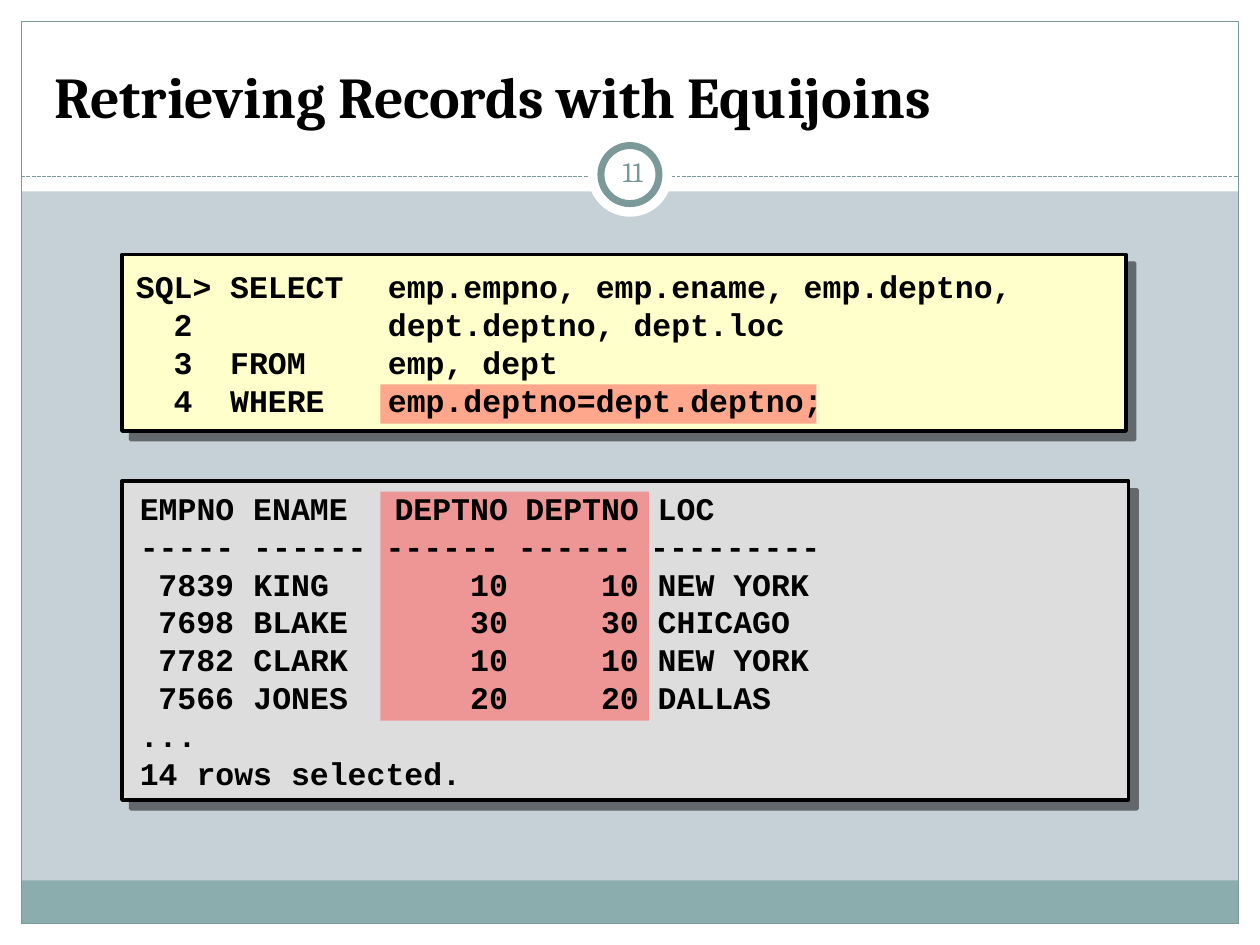
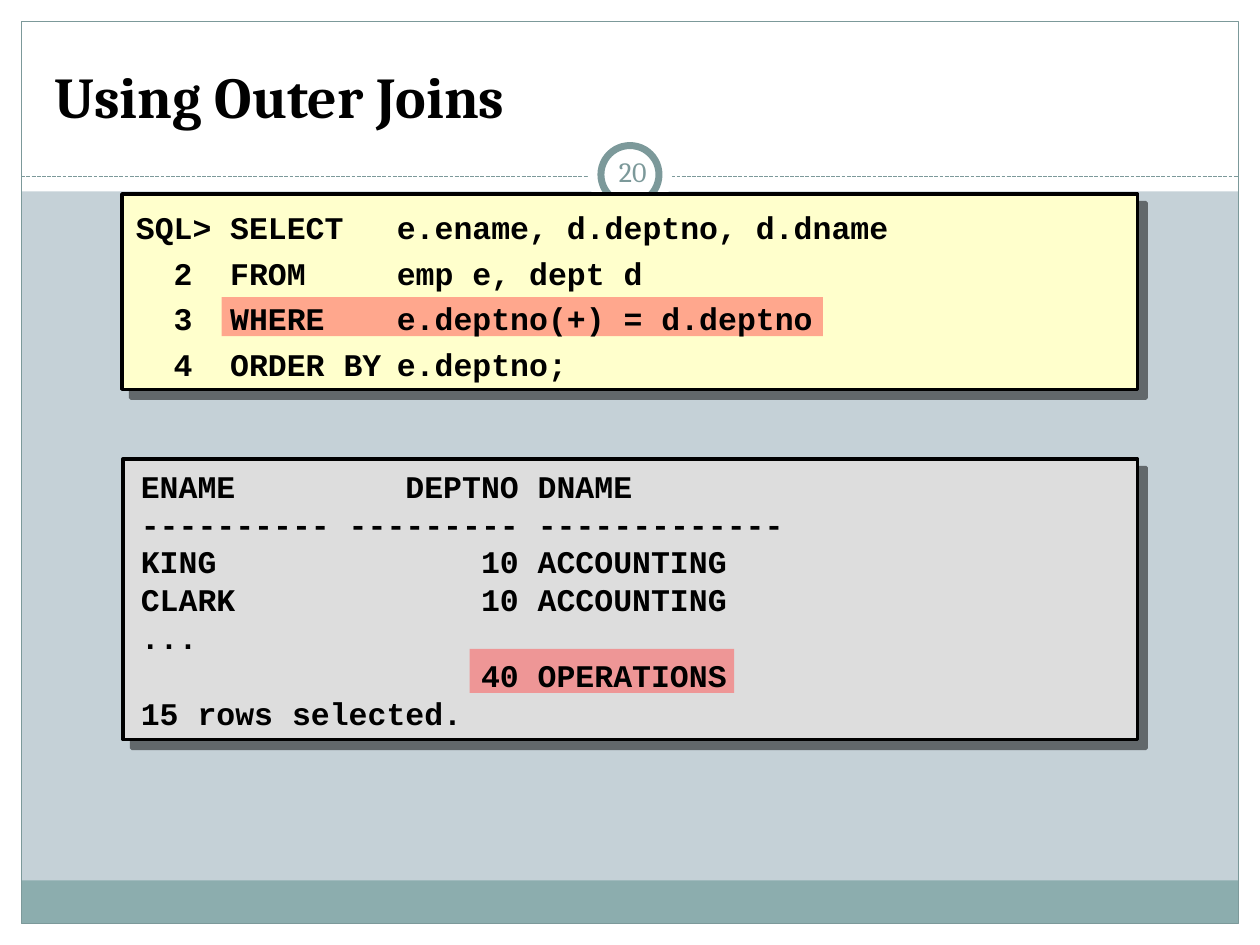
from lxml import etree
from pptx import Presentation
from pptx.dml.color import RGBColor
from pptx.enum import dml, shapes, text
from pptx.oxml import ns
from pptx.util import Cm, Pt

WHITE = RGBColor(0xFF, 0xFF, 0xFF)
BLACK = RGBColor(0x00, 0x00, 0x00)
MIST = RGBColor(0xC5, 0xD1, 0xD7)
TEAL = RGBColor(0x8C, 0xAD, 0xAE)
SLATE = RGBColor(0x7C, 0x99, 0x9A)
CREAM = RGBColor(0xFF, 0xFF, 0xCC)
SILVER = RGBColor(0xDD, 0xDD, 0xDD)
RED = RGBColor(0xFF, 0x50, 0x50)

TITLE_FONT = "Cambria"
CODE_FONT = "Courier New"
WIDTH, HEIGHT, MARGIN = 25.4, 19.05, 0.43
HEADER_HEIGHT, RULE_Y = 3.86, 3.56
FOOTER_TOP, FOOTER_HEIGHT = 17.75, 0.86
BADGE_X, BADGE_Y = 12.7, 3.52

PAGES = [
    {
        "title": "Retrieving Records with Equijoins",
        "number": "11",
        "query": {
            "area": (2.46, 5.13, 20.24, 3.56),
            "highlight": (7.67, 7.75, 8.79, 0.79),
            "tabs": [(1.14, "r"), (1.9, "l"), (5.08, "l")],
            "spacing": 1.0,
            "lines": [
                "SQL>\tSELECT\temp.empno, emp.ename, emp.deptno,",
                "\t2\t\tdept.deptno, dept.loc",
                "\t3\tFROM\temp, dept",
                "\t4\tWHERE\temp.deptno=dept.deptno;",
            ],
        },
        "result": {
            "area": (2.46, 9.7, 20.29, 6.43),
            "highlight": (7.67, 9.91, 5.41, 4.62),
            "tabs": [(1.9, "r"), (2.29, "l"), (7.42, "r"), (10.06, "r"), (10.44, "l")],
            "lines": [
                "EMPNO ENAME\tDEPTNO\tDEPTNO\tLOC",
                "----- ------ ------ ------ ---------",
                "\t7839\tKING\t10\t10\tNEW YORK",
                "\t7698\tBLAKE\t30\t30\tCHICAGO",
                "\t7782\tCLARK\t10\t10\tNEW YORK",
                "\t7566\tJONES\t20\t20\tDALLAS",
                "...",
                "14 rows selected.",
            ],
        },
    },
    {
        "title": "Using Outer Joins",
        "number": "20",
        "query": {
            "area": (2.46, 3.91, 20.47, 3.94),
            "highlight": (4.47, 5.99, 12.12, 0.79),
            "tabs": [(1.14, "r"), (1.9, "l"), (5.26, "l")],
            "spacing": 1.2,
            "lines": [
                "SQL>\tSELECT\te.ename, d.deptno, d.dname",
                "\t2\tFROM\temp e, dept d",
                "\t3\tWHERE\te.deptno(+) = d.deptno",
                "\t4\tORDER BY\te.deptno;",
            ],
        },
        "result": {
            "area": (2.48, 9.25, 20.45, 5.66),
            "highlight": (9.47, 13.08, 5.33, 0.89),
            "tabs": [(7.62, "r"), (8.0, "l")],
            "lines": [
                "ENAME\tDEPTNO\tDNAME",
                "---------- --------- -------------",
                "KING\t10\tACCOUNTING",
                "CLARK\t10\tACCOUNTING",
                "...",
                "\t40\tOPERATIONS",
                "15 rows selected.",
            ],
        },
    },
]


def place(area):
    return [Cm(length) for length in area]


def add_child(parent, tag, **attributes):
    return etree.SubElement(parent, ns.qn(tag), {key: str(value) for key, value in attributes.items()})


def add_block(page, area, fill=None, line=None, weight=0.75, kind=shapes.MSO_SHAPE.RECTANGLE):
    block = page.shapes.add_shape(kind, *place(area))
    block.shadow.inherit = False
    if fill is None:
        block.fill.background()
    else:
        block.fill.solid()
        block.fill.fore_color.rgb = fill
    if line is None:
        block.line.fill.background()
    else:
        block.line.color.rgb = line
        block.line.width = Pt(weight)
    return block


def add_disc(page, diameter, line=None):
    area = (BADGE_X - diameter / 2, BADGE_Y - diameter / 2, diameter, diameter)
    return add_block(page, area, WHITE, line, 4, shapes.MSO_SHAPE.OVAL)


def add_rule(page):
    rule = page.shapes.add_connector(
        shapes.MSO_CONNECTOR.STRAIGHT, Cm(MARGIN), Cm(RULE_Y), Cm(WIDTH - MARGIN), Cm(RULE_Y))
    rule.line.color.rgb = SLATE
    rule.line.width = Pt(0.75)
    rule.line.dash_style = dml.MSO_LINE.SQUARE_DOT
    add_child(rule.element.spPr, "a:effectLst")
    return rule


def format_text(frame, font, size, color, bold, align=text.PP_ALIGN.LEFT):
    for para in frame.paragraphs:
        para.alignment = align
        for span in para.runs:
            span.font.name = font
            span.font.size = Pt(size)
            span.font.color.rgb = color
            span.font.bold = bold


def build_layout(layout, page):
    inner = WIDTH - 2 * MARGIN
    frame_parts = [
        add_block(page, (0, HEIGHT - MARGIN, WIDTH, MARGIN), WHITE),
        add_block(page, (0, 0, WIDTH, HEADER_HEIGHT), WHITE),
        add_block(page, (0, 0, MARGIN, HEIGHT), WHITE),
        add_block(page, (WIDTH - MARGIN, 0, MARGIN, HEIGHT), WHITE),
        add_block(page, (MARGIN, FOOTER_TOP, inner, FOOTER_HEIGHT), TEAL),
        add_block(page, (MARGIN, MARGIN, inner, HEIGHT - 2 * MARGIN), line=SLATE),
        add_rule(page),
        add_disc(page, 1.7),
        add_disc(page, 1.17, SLATE),
    ]
    for part in frame_parts:
        layout.shapes.element.append(part.element)
    title = layout.placeholders[0]
    title.left, title.top, title.width, title.height = place((0.84, 0.64, 23.7, 2.11))
    title.text_frame.vertical_anchor = text.MSO_ANCHOR.BOTTOM


def add_panel(page, area, fill):
    panel = add_block(page, area, fill, BLACK, 2)
    effects = panel.element.spPr.find(ns.qn("a:effectLst"))
    shadow = add_child(effects, "a:outerShdw", dist=Pt(7.1), dir=45 * 60000, algn="ctr", rotWithShape=0)
    add_child(add_child(shadow, "a:srgbClr", val=BLACK), "a:alpha", val=50000)


def add_highlight(page, area):
    highlight = add_block(page, area, RED)
    color = highlight.element.spPr.find(ns.qn("a:solidFill"))[0]
    add_child(color, "a:alpha", val=50000)


def add_listing(page, listing, inset, anchor):
    box = page.shapes.add_textbox(*place(listing["area"]))
    frame = box.text_frame
    frame.word_wrap = True
    frame.vertical_anchor = anchor
    frame.margin_left = Cm(inset)
    frame.margin_top = frame.margin_bottom = Cm(0.16)
    frame.text = "\n".join(listing["lines"])
    format_text(frame, CODE_FONT, 18, BLACK, True)
    for para in frame.paragraphs:
        para.line_spacing = listing.get("spacing", 1.0)
        stops = add_child(para._p.get_or_add_pPr(), "a:tabLst")
        for position, side in listing["tabs"]:
            add_child(stops, "a:tab", pos=Cm(position), algn=side)


def add_number(page, number):
    box = page.shapes.add_textbox(*place((12.12, 2.84, 1.27, 1.22)))
    frame = box.text_frame
    frame.word_wrap = True
    frame.vertical_anchor = text.MSO_ANCHOR.MIDDLE
    frame.margin_left = frame.margin_right = Cm(0.13)
    frame.text = number
    format_text(frame, TITLE_FONT, 16, SLATE, False, text.PP_ALIGN.CENTER)


def fill_page(page, content):
    query, result = content["query"], content["result"]
    page.shapes.title.text_frame.text = content["title"]
    format_text(page.shapes.title.text_frame, TITLE_FONT, 33, BLACK, True)
    add_panel(page, query["area"], CREAM)
    add_panel(page, result["area"], SILVER)
    add_number(page, content["number"])
    for listing in (query, result):
        add_highlight(page, listing["highlight"])
    add_listing(page, query, 0.28, text.MSO_ANCHOR.MIDDLE)
    add_listing(page, result, 0.36, text.MSO_ANCHOR.TOP)


def main():
    deck = Presentation()
    deck.slide_width, deck.slide_height = Cm(WIDTH), Cm(HEIGHT)
    background = deck.slide_master.background.fill
    background.solid()
    background.fore_color.rgb = MIST
    layout = deck.slide_layouts.get_by_name("Title Only")
    pages = [deck.slides.add_slide(layout) for _ in PAGES]
    build_layout(layout, pages[0])
    for page, content in zip(pages, PAGES):
        fill_page(page, content)
    deck.save("out.pptx")


if __name__ == "__main__":
    main()
